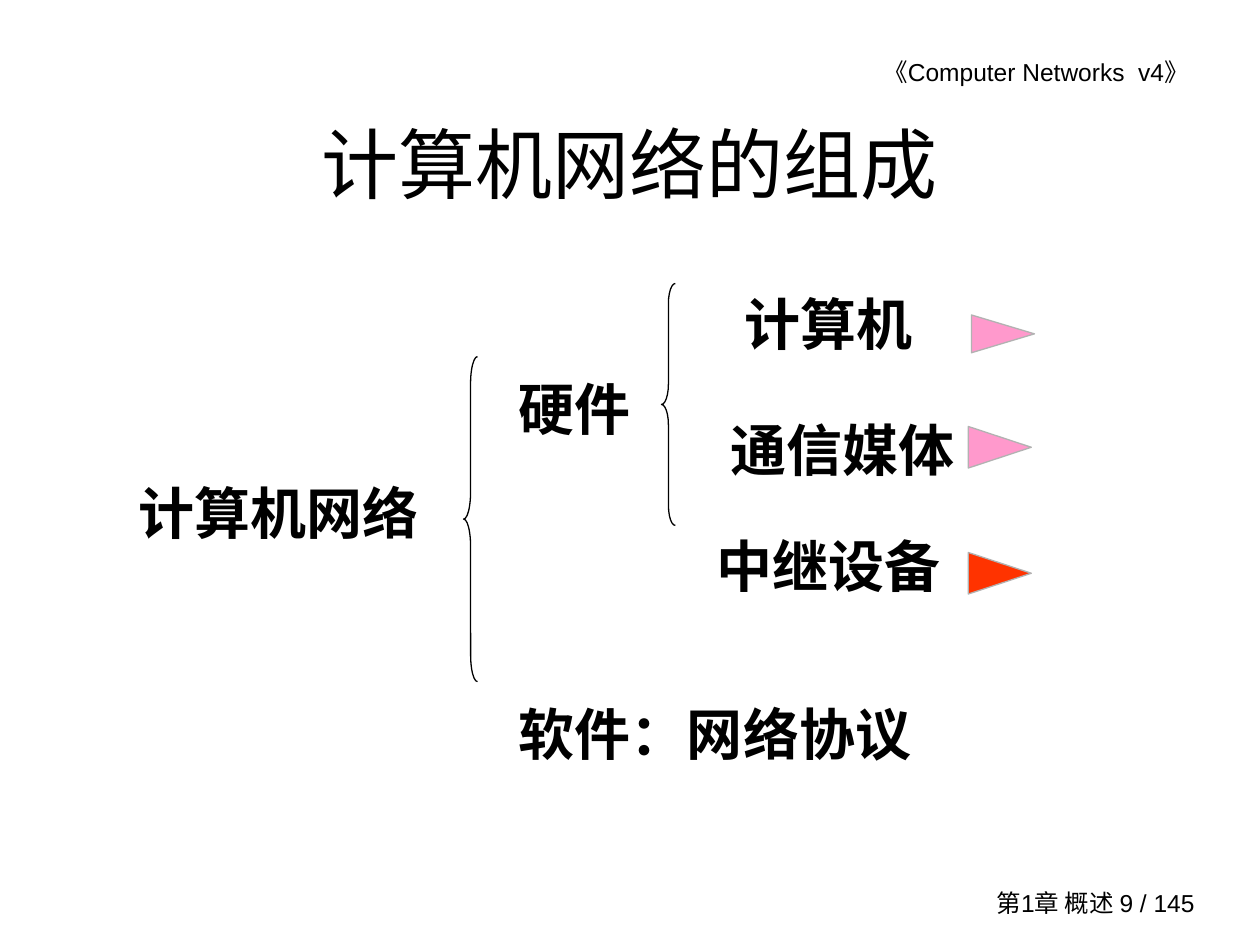
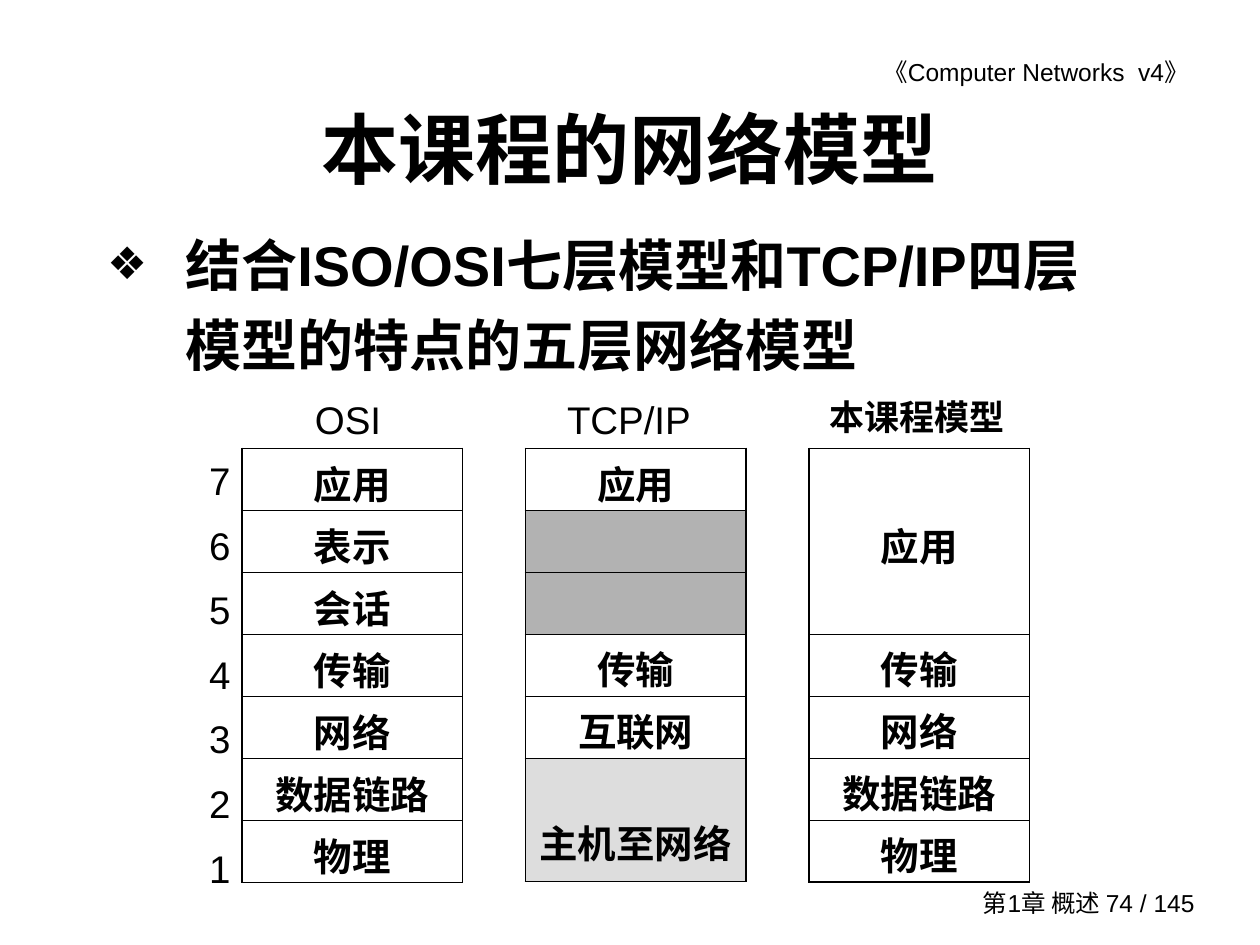
import pptx
import pptx.util
import pptx.dml.color
import pptx.enum.shapes
import pptx.enum.text
import pptx.oxml
import pptx.oxml.ns

Inches, Pt = pptx.util.Inches, pptx.util.Pt
SHAPE = pptx.enum.shapes.MSO_SHAPE
ALIGN = pptx.enum.text.PP_ALIGN
ANCHOR = pptx.enum.text.MSO_ANCHOR
qn = pptx.oxml.ns.qn

# Shared style
COLORS = {"text": "000000", "paper": "FFFFFF", "edge": "B2B2B2",
          "pink": "FF99CC", "red": "FF3300",
          "unused": "B2B2B2", "host": "DDDDDD"}
SANS, SERIF, CJK = "Arial", "Times New Roman", "Noto Sans CJK SC"
PAD = (0.1, 0.05)
HEADER = "《Computer Networks  v4》 "
FOOTER = "第1章 概述 {} / 145"

# Slide 1: components of a network
PARTS_PAGE, PARTS_TITLE = 9, "计算机网络的组成"
TERMS = [  # text, left, top, width
    ("计算机网络", 1, 3.75, 2.91),
    ("硬件", 4.02, 2.92, 2.12),
    ("软件：网络协议", 4.02, 5.5, 5.48),
    ("计算机", 5.81, 2.25, 2.24),
    ("通信媒体", 5.7, 3.25, 2.35),
    ("中继设备", 5.59, 4.17, 2.12),
]
BRACES = [(3.68, 2.83, 2.58), (5.25, 2.25, 1.92)]  # left, top, height
BRACE_W = 0.11
POINTERS = [  # colour, left, top, width
    ("red", 7.77, 4.3, 0.33),
    ("pink", 7.77, 3.3, 0.33),
    ("pink", 7.81, 2.4, 0.3),
]
POINTER_LEN = 0.5

# Slide 2: layer models
MODEL_PAGE, MODEL_TITLE = 74, "本课程的网络模型"
SUMMARY = "结合ISO/OSI七层模型和TCP/IP四层模型的特点的五层网络模型"
CAPTIONS = [  # text, left, width, size, bold, wrap
    ("OSI", 2.5, 0.53, 22, False, False),
    ("TCP/IP", 4.5, 0.98, 22, False, False),
    ("本课程模型", 6.58, 1.42, 20, True, True),
]
LEVELS = [str(n) for n in range(7, 0, -1)]
STACKS = [  # rows: text, fill, height in layers
    [(name, None, 1) for name in
     ("应用", "表示", "会话", "传输", "网络", "数据链路", "物理")],
    [("应用", None, 1), ("", "unused", 1), ("", "unused", 1),
     ("传输", None, 1), ("互联网", None, 1), ("主机至网络", "host", 2)],
    [(name, None, 1) for name in
     ("", "应用", "", "传输", "网络", "数据链路", "物理")],
]
OPEN_EDGES = {(2, 0), (2, 1)}  # (stack, row) with no line below
STACK_X, STACK_Y, STACK_W, STACK_STEP, LAYER_H = 1.92, 3.56, 1.75, 2.25, 0.49
OUTER, INNER = 1.08, 0.45
NO_STYLE = "{2D5ABB26-0587-4C30-8999-92F81FD0307C}"


def rgb(name):
    return pptx.dml.color.RGBColor.from_string(COLORS[name])


def place(sp, left, top, width, height):
    sp.left, sp.top = Inches(left), Inches(top)
    sp.width, sp.height = Inches(width), Inches(height)


def add_run(p, text, size, bold=False, font=SANS):
    r = p.add_run()
    r.text = text
    r.font.size, r.font.bold, r.font.name = Pt(size), bold, font
    r.font.color.rgb = rgb("text")
    r.font._element.get_or_add_latin().addnext(
        pptx.oxml.parse_xml(f'<a:ea {pptx.oxml.ns.nsdecls("a")} typeface="{CJK}"/>'))


def set_frame(tf, pad=PAD, anchor=ANCHOR.TOP, wrap=True):
    tf.auto_size = pptx.enum.text.MSO_AUTO_SIZE.NONE
    tf.word_wrap, tf.vertical_anchor = wrap, anchor
    tf.margin_left = tf.margin_right = Inches(pad[0])
    tf.margin_top = tf.margin_bottom = Inches(pad[1])


def add_text(slide, lines, box, size, bold=False, font=SANS, align=ALIGN.LEFT,
             before=0, spacing=1.0, **frame):
    sp = slide.shapes.add_textbox(*map(Inches, box))
    tf = sp.text_frame
    set_frame(tf, **frame)
    for i, line in enumerate(lines):
        p = tf.paragraphs[0] if i == 0 else tf.add_paragraph()
        p.alignment, p.space_before, p.line_spacing = align, Pt(before), spacing
        add_run(p, line, size, bold, font)


def add_slide(prs, layout, title, page, title_h, bold):
    slide = prs.slides.add_slide(prs.slide_layouts[layout])
    slide.background.fill.solid()
    slide.background.fill.fore_color.rgb = rgb("paper")
    add_text(slide, [HEADER], (5.35, 0.4, 4.23, 0.34), 14, align=ALIGN.RIGHT)
    add_text(slide, [FOOTER.format(page)], (7.5, 7, 2.08, 0.33), 14,
             align=ALIGN.RIGHT, anchor=ANCHOR.MIDDLE)
    sp = slide.shapes.title
    place(sp, 0.75, 0.67, 8.5, title_h)
    set_frame(sp.text_frame, anchor=ANCHOR.MIDDLE)
    p = sp.text_frame.paragraphs[0]
    p.alignment = ALIGN.CENTER
    add_run(p, title, 44, bold)
    return slide


def add_shape(slide, kind, box, fill, line):
    sp = slide.shapes.add_shape(kind, *map(Inches, box))
    sp.shadow.inherit = False
    if fill:
        sp.fill.solid()
        sp.fill.fore_color.rgb = rgb(fill)
    else:
        sp.fill.background()
    sp.line.color.rgb, sp.line.width = rgb(line), Pt(0.75)
    return sp


def set_borders(cell, widths):
    """Widths run left, right, top, bottom; 0 means no line."""
    tcPr = cell._tc.get_or_add_tcPr()
    for i, (side, width) in enumerate(zip("LRTB", widths)):
        paint = (f'<a:solidFill><a:srgbClr val="{COLORS["text"]}"/></a:solidFill>'
                 if width else "<a:noFill/>")
        tcPr.insert(i, pptx.oxml.parse_xml(
            f'<a:ln{side} {pptx.oxml.ns.nsdecls("a")} w="{int(Pt(width))}">'
            f'{paint}</a:ln{side}>'))


def add_stack(slide, index, rows):
    total = LAYER_H * sum(span for _, _, span in rows)
    frame = slide.shapes.add_table(
        len(rows), 1, Inches(STACK_X + index * STACK_STEP), Inches(STACK_Y),
        Inches(STACK_W), Inches(total))
    table = frame.table
    table.first_row = table.horz_banding = False
    table._tbl.tblPr.find(qn("a:tableStyleId")).text = NO_STYLE

    def edge_below(row):
        if row in (-1, len(rows) - 1):
            return OUTER
        return 0 if (index, row) in OPEN_EDGES else INNER

    for i, (name, fill, span) in enumerate(rows):
        table.rows[i].height = Inches(LAYER_H * span)
        cell = table.cell(i, 0)
        cell.margin_left = cell.margin_right = Inches(0.08)
        # No bottom margin, so a line of text fits the layer height
        cell.margin_top, cell.margin_bottom = Inches(0.05), 0
        if fill:
            cell.fill.solid()
            cell.fill.fore_color.rgb = rgb(fill)
        else:
            cell.fill.background()
        set_borders(cell, (OUTER, OUTER, edge_below(i - 1), edge_below(i)))
        if name:
            p = cell.text_frame.paragraphs[0]
            p.alignment, p.space_before = ALIGN.CENTER, Pt(5.5)
            if span > 1:
                p.line_spacing = 1.9
            add_run(p, name, 22, True, CJK)


def add_summary(slide):
    sp = slide.placeholders[1]
    place(sp, 0.75, 1.67, 8.08, 1.58)
    set_frame(sp.text_frame)
    p = sp.text_frame.paragraphs[0]
    p.line_spacing, p.space_before = 1.2, Pt(8)
    add_run(p, SUMMARY, 32, True)
    pPr = p._p.get_or_add_pPr()
    pPr.set("marL", str(Inches(0.62)))
    pPr.set("indent", str(-Inches(0.62)))
    for tag in (f'buClr {{}}><a:srgbClr val="{COLORS["text"]}"/></a:buClr>',
                'buSzPct {} val="80000"/>',
                f'buFont {{}} typeface="{SANS}"/>',
                'buChar {} char="❖"/>'):
        pPr.append(pptx.oxml.parse_xml("<a:" + tag.format(pptx.oxml.ns.nsdecls("a"))))


def build_parts(prs):
    slide = add_slide(prs, 5, PARTS_TITLE, PARTS_PAGE, 1.25, False)
    for text, left, top, width in TERMS:
        add_text(slide, [text], (left, top, width, 0.64), 32, True, SERIF, before=20)
    for left, top, height in BRACES:
        sp = add_shape(slide, SHAPE.LEFT_BRACE, (left, top, BRACE_W, height), None, "text")
        sp.adjustments[0] = height / 12 / BRACE_W
    for color, left, top, width in POINTERS:
        sp = add_shape(slide, SHAPE.ISOSCELES_TRIANGLE,
                       (left, top, width, POINTER_LEN), color, "edge")
        sp.rotation = 90


def build_model(prs):
    slide = add_slide(prs, 1, MODEL_TITLE, MODEL_PAGE, 1, True)
    add_summary(slide)
    for text, left, width, size, bold, wrap in CAPTIONS:
        add_text(slide, [text], (left, 3.14, width, 0.37), size, bold,
                 pad=(0, 0), wrap=wrap)
    add_text(slide, LEVELS, (1.58, 3.48, 0.33, 3.59), 22, align=ALIGN.CENTER,
             spacing=1.4, pad=(0, 0))
    for index, rows in enumerate(STACKS):
        add_stack(slide, index, rows)


def main():
    prs = pptx.Presentation()
    prs.slide_width, prs.slide_height = Inches(10), Inches(7.5)
    build_parts(prs)
    build_model(prs)
    prs.save("out.pptx")


if __name__ == "__main__":
    main()
